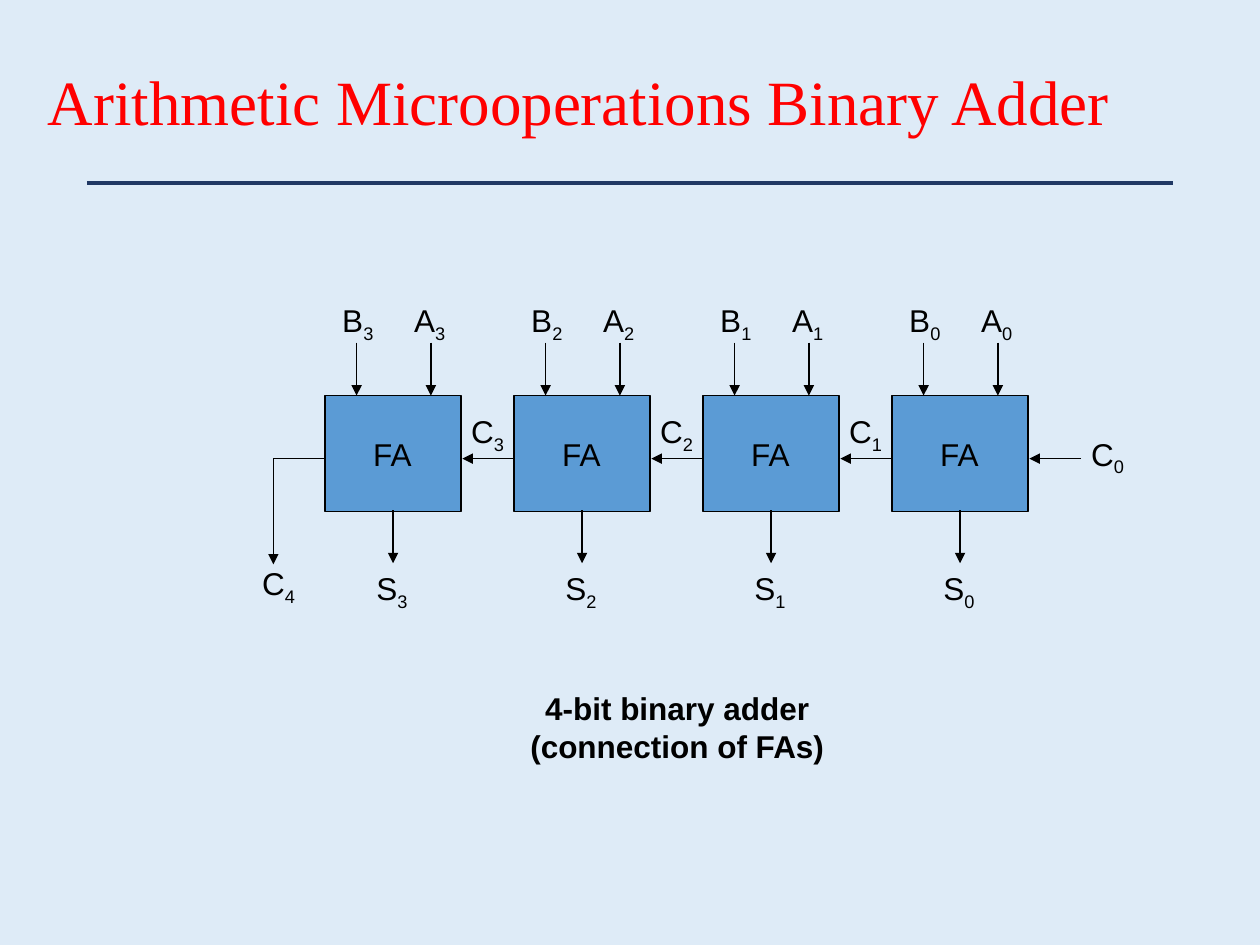
from typing import NamedTuple

from lxml.etree import SubElement
from pptx import Presentation
from pptx.dml.color import RGBColor
from pptx.enum.shapes import MSO_CONNECTOR as Conn, MSO_SHAPE as Kind
from pptx.enum.text import MSO_ANCHOR as Anchor, MSO_AUTO_SIZE as Fit, PP_ALIGN as Align
from pptx.oxml.ns import qn
from pptx.util import Inches, Pt

SKY = RGBColor(0xDE, 0xEB, 0xF7)
NAVY = RGBColor(0x20, 0x38, 0x64)
RED = RGBColor(0xFF, 0, 0)
BLUE = RGBColor(0x5B, 0x9B, 0xD5)
BLACK = RGBColor(0, 0, 0)

BITS = 4
FIRST = 7.08   # left edge of the adder for bit 0
STEP = 1.5     # distance between adders
TOP, WIDE, HIGH = 3.14, 1.08, 0.92
WIRE = 3.64    # height of the carry wires


class Wire(NamedTuple):
    """A line; x values count from the left edge of an adder."""
    x1: float
    y1: float
    x2: float
    y2: float
    arrow: bool = True


class Label(NamedTuple):
    """A letter with the bit number as its subscript."""
    letter: str
    x: float
    y: float


WIRES = [
    Wire(0.25, 2.72, 0.25, TOP),
    Wire(0.84, 2.72, 0.84, TOP),
    Wire(STEP, WIRE, WIDE + 0.01, WIRE),
    Wire(0.54, 4.05, 0.54, 4.47),
]
LABELS = [Label("A", 0.54, 2.34), Label("B", -0.03, 2.34), Label("S", 0.24, 4.47)]
CARRY_OUT = [Wire(0, WIRE, -0.41, WIRE, False), Wire(-0.41, WIRE, -0.41, 4.48)]


def write(frame, text: str, sub: str = "", *, font: str = "Arial", size: float = 18,
          color: RGBColor = BLACK, bold: bool = False, align=Align.CENTER):
    """Put text, with an optional subscript, into a text frame."""
    para = frame.paragraphs[0]
    para.alignment = align
    para.space_before = Pt(0)
    for part in filter(None, (text, sub)):
        run = para.add_run()
        run.text = part
        run.font.name, run.font.size = font, Pt(size)
        run.font.bold, run.font.color.rgb = bold, color
        if part is sub:
            run._r.get_or_add_rPr().set("baseline", "-25000")
    return para


def add_text(slide, x: float, y: float, w: float, h: float, text: str,
             sub: str = "", **style) -> None:
    box = slide.shapes.add_textbox(Inches(x), Inches(y), Inches(w), Inches(h))
    box.text_frame.word_wrap = True
    box.text_frame.auto_size = Fit.SHAPE_TO_FIT_TEXT
    write(box.text_frame, text, sub, **style)


def add_label(slide, label: Label, left: float, bit: int) -> None:
    add_text(slide, left + label.x, label.y, 0.58, 0.4, label.letter, str(bit))


def add_wire(slide, wire: Wire, left: float = 0, color: RGBColor = BLACK,
             width: float = 0.75) -> None:
    line = slide.shapes.add_connector(
        Conn.STRAIGHT, Inches(left + wire.x1), Inches(wire.y1),
        Inches(left + wire.x2), Inches(wire.y2))
    line.line.color.rgb = color
    line.line.width = Pt(width)
    if wire.arrow:
        SubElement(line.line._get_or_add_ln(), qn("a:tailEnd"), type="triangle")
    SubElement(line._element.spPr, qn("a:effectLst"))


def add_adder(slide, left: float, bit: int) -> None:
    box = slide.shapes.add_shape(
        Kind.RECTANGLE, Inches(left), Inches(TOP), Inches(WIDE), Inches(HIGH))
    box.shadow.inherit = False
    box.fill.solid()
    box.fill.fore_color.rgb = BLUE
    box.line.color.rgb = BLACK
    box.line.width = Pt(0.75)
    add_text(slide, left + 0.12, 3.4, 0.83, 0.4, "FA")
    for wire in WIRES:
        add_wire(slide, wire, left)
    for label in LABELS:
        add_label(slide, label, left, bit)


def add_title(slide, text: str) -> None:
    title = slide.shapes.title
    title.left, title.top = Inches(0.28), Inches(0.26)
    title.width, title.height = Inches(9.39), Inches(1.15)
    frame = title.text_frame
    frame.word_wrap, frame.auto_size = True, Fit.NONE
    frame.vertical_anchor = Anchor.MIDDLE
    para = write(frame, text, font="Times New Roman", size=36, color=RED,
                 align=Align.LEFT)
    para.line_spacing = 0.9
    props = para._p.get_or_add_pPr()
    props.set("marL", str(Inches(0.82)))
    props.set("indent", str(Inches(-0.82)))


def main() -> None:
    deck = Presentation()
    deck.slide_width, deck.slide_height = Inches(10), Inches(7.5)
    slide = deck.slides.add_slide(deck.slide_layouts[5])
    slide.background.fill.solid()
    slide.background.fill.fore_color.rgb = SKY

    # Title and rule
    add_title(slide, "Arithmetic Microoperations Binary Adder")
    add_wire(slide, Wire(0.69, 1.45, 9.31, 1.45, False), color=NAVY, width=2.25)

    # Chain of full adders, bit 0 at the right
    for bit in range(BITS):
        left = FIRST - bit * STEP
        add_adder(slide, left, bit)
        if bit:
            add_label(slide, Label("C", STEP - 0.5, 3.22), left, bit)

    # Carry into the first adder and out of the last
    add_label(slide, Label("C", 1.42, 3.4), FIRST, 0)
    for wire in CARRY_OUT:
        add_wire(slide, wire, left)
    add_label(slide, Label("C", -0.66, 4.43), left, BITS)

    # Caption
    add_text(slide, 3.5, 5.42, 3.75, 0.7, "4-bit binary adder (connection of FAs)",
             bold=True)
    deck.save("out.pptx")


if __name__ == "__main__":
    main()
